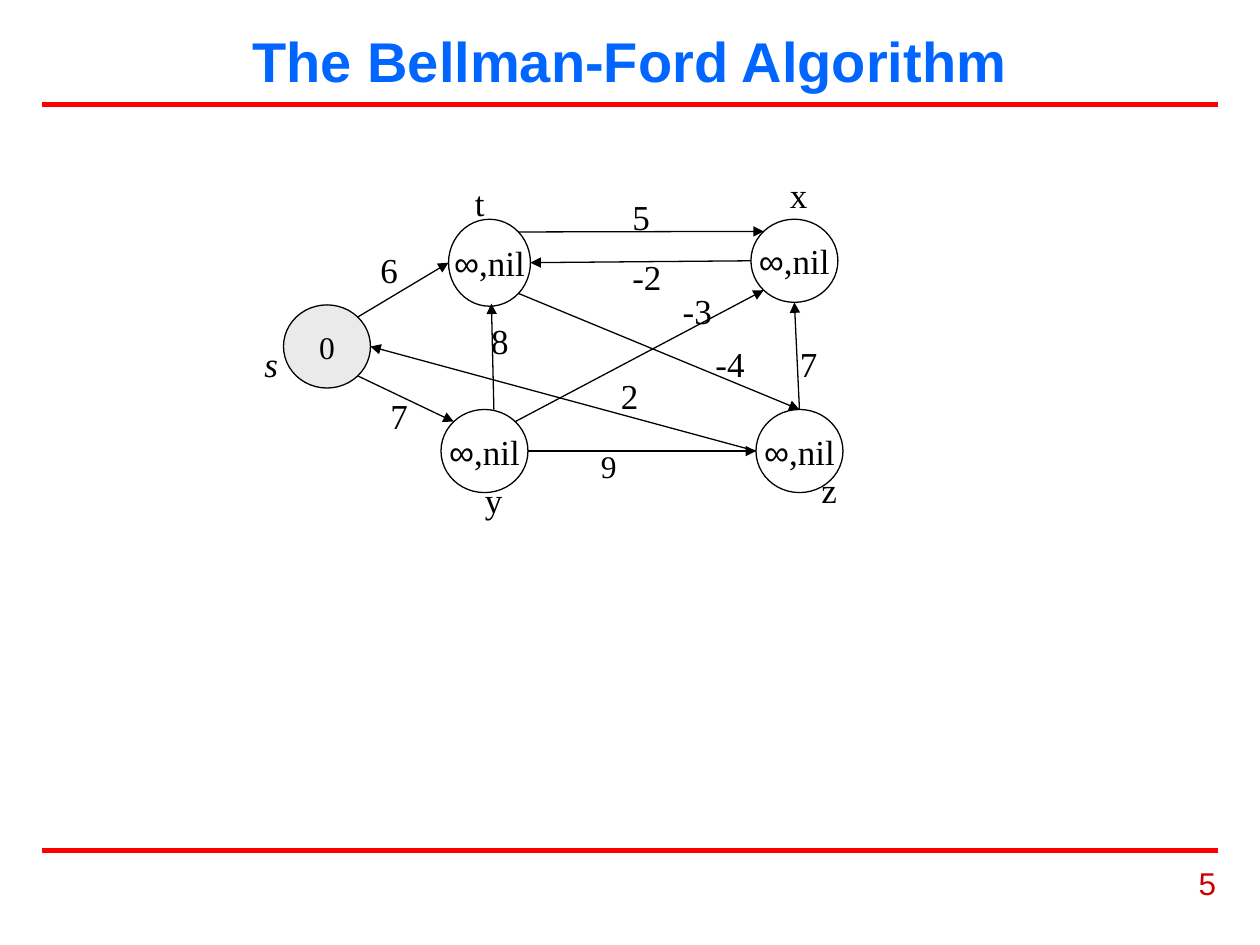
"""Build the Bellman-Ford slide with its initial weighted directed graph."""
import math

from lxml import etree
from pptx import Presentation, util as u
from pptx.dml.color import RGBColor
from pptx.enum import shapes, text
from pptx.oxml.ns import qn

WIDTH, HEIGHT = 10, 7.5
SERIF, SANS = "Times New Roman", "Arial"
BLACK, WHITE, RED = "000000", "FFFFFF", "FF0000"
TITLE = "The Bellman-Ford Algorithm"
PAGE_NUMBER = "5"
RULES = [0.83, 6.75]
UNKNOWN = [("∞", SANS, 20), (",nil", SERIF, 20)]
NODES = {
    "t": (3.56, 1.74, 0.65, 0.69, WHITE, UNKNOWN),
    "y": (3.5, 3.25, 0.69, 0.66, WHITE, UNKNOWN),
    "x": (5.96, 1.74, 0.69, 0.66, WHITE, UNKNOWN),
    "s": (2.25, 2.42, 0.69, 0.66, "EAEAEA", [("0", SERIF, 18)]),
    "z": (6, 3.25, 0.69, 0.66, WHITE, UNKNOWN),
}
COMPASS = ["E", "SE", "S", "SW", "W", "NW", "N", "NE"]
EDGES = [
    (("t", "NE"), ("x", "NW")),
    (("x", "W"), ("t", "E")),
    (("y", "E"), ("z", "W")),
    (("y", "NE"), ("x", "SW")),
    (("s", "NE"), ("t", "W")),
    (("s", "SE"), ("y", "NW")),
    (("z", "N"), ("x", "S")),
    (("t", "SE"), ("z", "N")),
    (("z", "W"), ("s", "E")),
    ((3.92, 3.25), (3.9, 2.41)),
]
LABELS = [
    ("6", 2.92, 1.92, 0.34), ("7", 3, 3.08, 0.34), ("9", 4.67, 3.5, 0.32),
    ("5", 4.92, 1.5, 0.34), ("-3", 5.32, 2.25, 0.43), ("8", 3.8, 2.49, 0.34),
    ("7", 6.25, 2.67, 0.34), ("-4", 5.58, 2.67, 0.43), ("2", 4.83, 2.92, 0.33),
    ("-2", 4.92, 1.98, 0.43), ("s", 2, 2.67, 0.31), ("y", 3.75, 3.75, 0.34),
    ("z", 6.42, 3.67, 0.32), ("x", 6.17, 1.33, 0.31), ("t", 3.67, 1.39, 0.27),
]
SMALL_LABELS, ITALIC_LABELS = {"9"}, {"s"}


def color(value):
    return RGBColor.from_string(value)


def inches(*values):
    return [u.Inches(value) for value in values]


def write(shape, runs, hue=BLACK, align="LEFT", frame_format=None, **font_format):
    frame = shape.text_frame
    for name, value in (frame_format or {}).items():
        setattr(frame, name, value)
    paragraph = frame.paragraphs[0]
    paragraph.alignment = getattr(text.PP_ALIGN, align)
    for content, face, size in runs:
        run = paragraph.add_run()
        run.text = content
        run.font.color.rgb = color(hue)
        for name, value in {"name": face, "size": u.Pt(size), **font_format}.items():
            setattr(run.font, name, value)


def add_line(slide, start, end, hue, width, arrow=False):
    line = slide.shapes.add_connector(
        shapes.MSO_CONNECTOR.STRAIGHT, *inches(*start, *end))
    line.line.color.rgb = color(hue)
    line.line.width = u.Pt(width)
    if arrow:
        etree.SubElement(line.line._get_or_add_ln(), qn("a:tailEnd"), type="triangle")
    etree.SubElement(line._element.spPr, qn("a:effectLst"))


def add_node(slide, left, top, width, height, fill, runs):
    node = slide.shapes.add_shape(
        shapes.MSO_SHAPE.OVAL, *inches(left, top, width, height))
    node.shadow.inherit = False
    node.fill.solid()
    node.fill.fore_color.rgb = color(fill)
    node.line.color.rgb = color(BLACK)
    node.line.width = u.Pt(0.75)
    write(node, runs, align="CENTER", frame_format={
        "word_wrap": False, "vertical_anchor": text.MSO_ANCHOR.MIDDLE})


def locate(end):
    if end[0] not in NODES:
        return end
    left, top, width, height = NODES[end[0]][:4]
    angle = COMPASS.index(end[1]) * math.pi / 4
    return (left + width / 2 * (1 + math.cos(angle)),
            top + height / 2 * (1 + math.sin(angle)))


def main():
    presentation = Presentation()
    presentation.slide_width, presentation.slide_height = inches(WIDTH, HEIGHT)
    slide = presentation.slides.add_slide(presentation.slide_layouts[6])
    for y in RULES:
        add_line(slide, (0.33, y), (WIDTH - 0.33, y), RED, 3)
    title = slide.shapes.add_textbox(*inches(0.5, 0.17, WIDTH - 1, 0.62))
    write(title, [(TITLE, SANS, 32)], "0066FF", "CENTER", bold=True, frame_format={
        "word_wrap": True, "vertical_anchor": text.MSO_ANCHOR.MIDDLE})
    number = slide.shapes.add_textbox(*inches(7.42, 6.81, 2.33, 0.52))
    write(number, [(PAGE_NUMBER, SANS, 18)], "CC0000", "RIGHT",
          frame_format={"word_wrap": True})
    for node in NODES.values():
        add_node(slide, *node)
    for start, end in EDGES:
        add_line(slide, locate(start), locate(end), BLACK, 0.75, arrow=True)
    for content, left, top, width in LABELS:
        size = 18 if content in SMALL_LABELS else 20
        label = slide.shapes.add_textbox(*inches(left, top, width, size * 0.022))
        write(label, [(content, SERIF, size)], italic=content in ITALIC_LABELS,
              frame_format={"word_wrap": False,
                            "auto_size": text.MSO_AUTO_SIZE.SHAPE_TO_FIT_TEXT})
    presentation.save("out.pptx")


if __name__ == "__main__":
    main()
